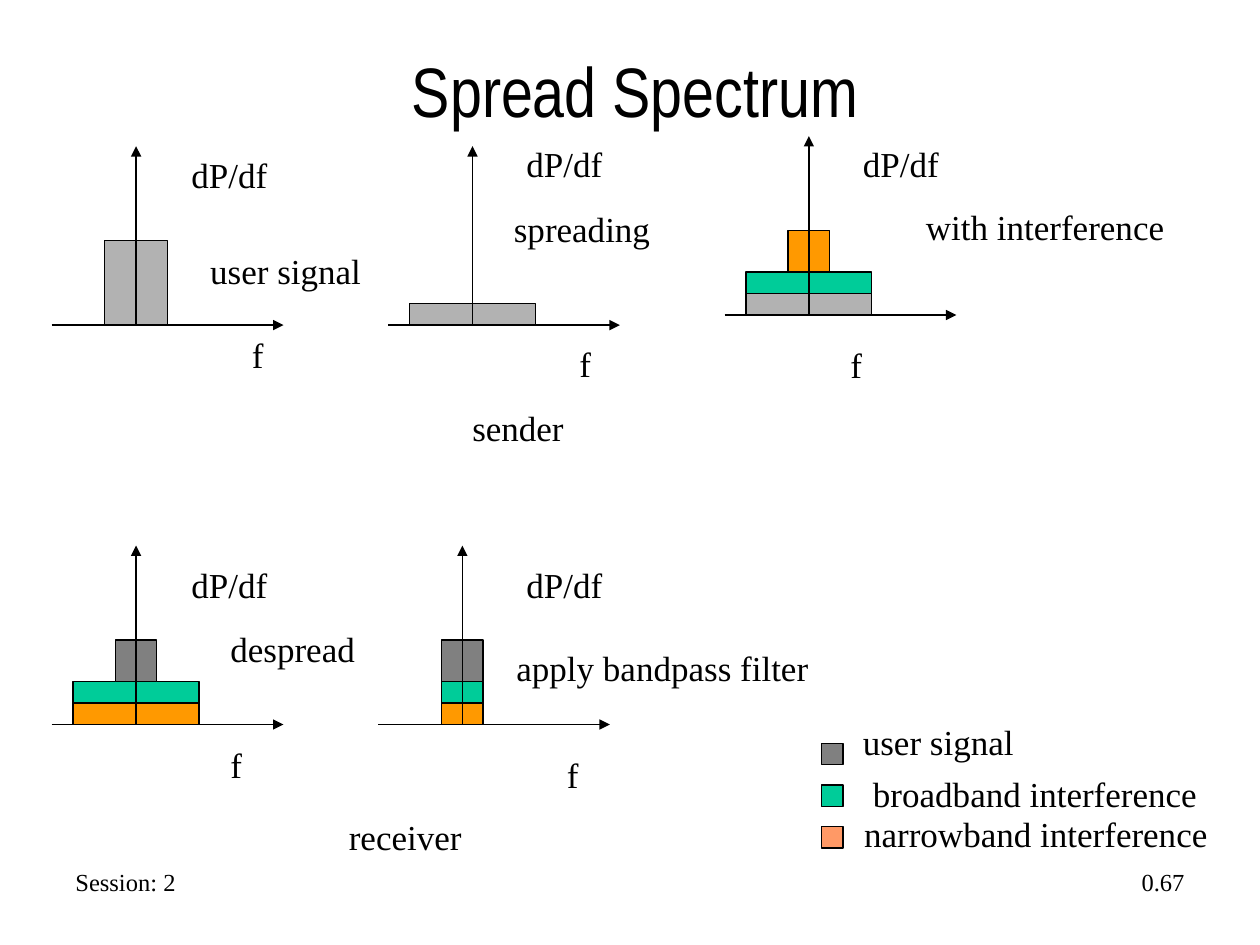
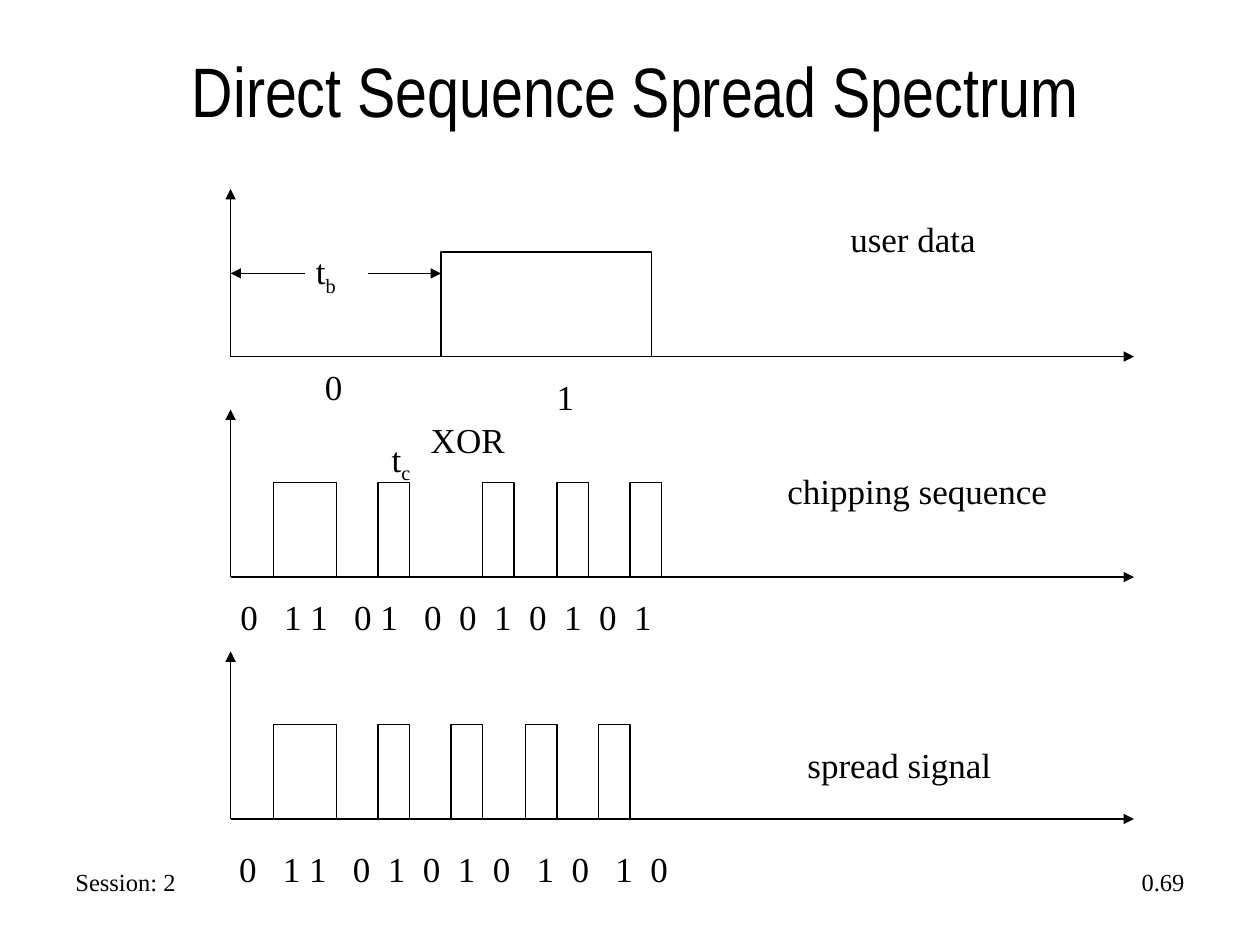
from dataclasses import dataclass
from itertools import accumulate
from typing import Optional

import lxml.etree
import pptx
import pptx.dml.color
import pptx.enum.shapes
import pptx.enum.text
import pptx.oxml.ns
import pptx.util

Inches, Pt = pptx.util.Inches, pptx.util.Pt
RGBColor = pptx.dml.color.RGBColor
Align = pptx.enum.text.PP_ALIGN
AutoSize = pptx.enum.text.MSO_AUTO_SIZE
qn = pptx.oxml.ns.qn

# Shared style
BLACK = RGBColor(0x00, 0x00, 0x00)
LIGHT_GRAY = RGBColor(0xB2, 0xB2, 0xB2)
GRAY = RGBColor(0x80, 0x80, 0x80)
GREEN = RGBColor(0x00, 0xCC, 0x99)
ORANGE = RGBColor(0xFF, 0x99, 0x00)
SALMON = RGBColor(0xFF, 0x99, 0x66)
TITLE_FONT, BODY_FONT = "Arial Narrow", "Times New Roman"
LINE_WIDTH = Pt(0.75)
LABEL_HEIGHT = 0.44
DIGIT_WIDTH, SPACE_WIDTH = Pt(10), Pt(5)


@dataclass
class Label:
    text: str
    x: float
    y: float
    width: float
    subscript: str = ""


@dataclass
class Bar:
    width: float
    height: float
    color: RGBColor


@dataclass
class Spectrum:
    center: float
    base: float
    bars: list[Bar]  # stacked upwards from the frequency axis
    labels: list[Label]


@dataclass
class Bits:
    text: str
    gaps: list[int]  # spaces between neighbouring digits
    x: float
    y: float


@dataclass
class Signal:
    base: float
    pulse_height: float
    pulses: list[tuple[float, float]]  # left edge and width
    label: Label
    bits: Optional[Bits] = None


# Drawing helpers
def style_run(r, size: float, font: str = BODY_FONT) -> None:
    for name, value in {"size": Pt(size), "name": font, "bold": False}.items():
        setattr(r.font, name, value)
    r.font.color.rgb = BLACK


def add_text(s, text: str, x: float, y: float, w: float, h: float,
             size: float = 20, align=Align.LEFT, wrap: bool = False):
    tf = s.shapes.add_textbox(Inches(x), Inches(y), Inches(w), Inches(h)).text_frame
    tf.word_wrap = wrap
    tf.auto_size = AutoSize.SHAPE_TO_FIT_TEXT
    p = tf.paragraphs[0]
    p.alignment = align
    r = p.add_run()
    r.text = text
    style_run(r, size)
    return p


def add_label(s, label: Label) -> None:
    height = 0.48 if label.subscript else LABEL_HEIGHT
    p = add_text(s, label.text, label.x, label.y, label.width, height)
    if label.subscript:
        r = p.add_run()
        r.text = label.subscript
        style_run(r, 20)
        r.font._element.set("baseline", "-25000")


def add_rect(s, x: float, y: float, w: float, h: float,
             color: Optional[RGBColor] = None) -> None:
    sp = s.shapes.add_shape(pptx.enum.shapes.MSO_SHAPE.RECTANGLE,
                            Inches(x), Inches(y), Inches(w), Inches(h))
    sp.shadow.inherit = False
    if color is None:
        sp.fill.background()
    else:
        sp.fill.solid()
        sp.fill.fore_color.rgb = color
    sp.line.color.rgb = BLACK
    sp.line.width = LINE_WIDTH


def add_arrow(s, x1: float, y1: float, x2: float, y2: float) -> None:
    line = s.shapes.add_connector(pptx.enum.shapes.MSO_CONNECTOR.STRAIGHT,
                                  Inches(x1), Inches(y1), Inches(x2), Inches(y2))
    line.line.color.rgb = BLACK
    line.line.width = LINE_WIDTH
    sp_pr = line._element.spPr
    lxml.etree.SubElement(sp_pr.find(qn("a:ln")), qn("a:tailEnd"), type="triangle")
    lxml.etree.SubElement(sp_pr, qn("a:effectLst"))


def add_bits(s, bits: Bits) -> None:
    """Space the digits with one tab stop per gap."""
    p = add_text(s, "\t".join(bits.text), bits.x, bits.y, 3.8, LABEL_HEIGHT, wrap=True)
    tabs = lxml.etree.SubElement(p._p.get_or_add_pPr(), qn("a:tabLst"))
    for stop in accumulate(DIGIT_WIDTH + gap * SPACE_WIDTH for gap in bits.gaps):
        lxml.etree.SubElement(tabs, qn("a:tab"), pos=str(stop), algn="l")


def add_spectrum(s, spectrum: Spectrum) -> None:
    cx, base = spectrum.center, spectrum.base
    top = base
    for bar in spectrum.bars:
        top -= bar.height
        add_rect(s, cx - bar.width / 2, top, bar.width, bar.height, bar.color)
    add_arrow(s, cx - 0.67, base, cx + 1.17, base)
    add_arrow(s, cx, base, cx, base - 1.42)
    for label in spectrum.labels:
        add_label(s, label)


def add_signal(s, signal: Signal) -> None:
    add_arrow(s, 1.83, signal.base, 9, signal.base)
    add_arrow(s, 1.83, signal.base, 1.83, signal.base - 1.33)
    for x, width in signal.pulses:
        add_rect(s, x, signal.base - signal.pulse_height, width, signal.pulse_height)
    add_label(s, signal.label)
    if signal.bits:
        add_bits(s, signal.bits)


def new_slide(prs, title: str, number: str):
    s = prs.slides.add_slide(prs.slide_layouts[5])
    sp = s.shapes.title
    box = {"left": 0.5, "top": 0.25, "width": 9.08, "height": 0.92}
    for name, value in box.items():
        setattr(sp, name, Inches(value))
    tf = sp.text_frame
    tf.vertical_anchor = pptx.enum.text.MSO_ANCHOR.MIDDLE
    tf.auto_size = AutoSize.NONE
    p = tf.paragraphs[0]
    p.alignment = Align.CENTER
    r = p.add_run()
    r.text = title
    style_run(r, 40, TITLE_FONT)
    add_text(s, "Session: 2", 0.5, 6.83, 2.58, 0.34, 14, wrap=True)
    add_text(s, number, 7.17, 6.83, 2.33, 0.34, 14, Align.RIGHT, wrap=True)
    return s


# Spread spectrum: density plots at sender and receiver
def density(x: float, y: float) -> Label:
    return Label("dP/df", x, y, 0.8)


def frequency(x: float, y: float) -> Label:
    return Label("f", x, y, 0.29)


SPECTRA = [
    Spectrum(1.08, 2.58, [Bar(0.5, 0.67, LIGHT_GRAY)],
             [density(1.42, 1.17), frequency(1.9, 2.6),
              Label("user signal", 1.57, 1.93, 1.4)]),
    Spectrum(3.75, 2.58, [Bar(1, 0.17, LIGHT_GRAY)],
             [density(4.08, 1.08), frequency(4.5, 2.67),
              Label("spreading", 3.98, 1.6, 1.28)]),
    Spectrum(6.42, 2.5, [Bar(1, 0.17, LIGHT_GRAY), Bar(1, 0.17, GREEN),
                         Bar(0.33, 0.33, ORANGE)],
             [density(6.75, 1.08), frequency(6.65, 2.68),
              Label("with interference", 7.25, 1.58, 2.09)]),
    Spectrum(1.08, 5.75, [Bar(1, 0.17, ORANGE), Bar(1, 0.17, GREEN),
                          Bar(0.33, 0.33, GRAY)],
             [density(1.42, 4.42), frequency(1.73, 5.85),
              Label("despread", 1.73, 4.93, 1.19)]),
    Spectrum(3.67, 5.75, [Bar(0.33, 0.17, ORANGE), Bar(0.33, 0.17, GREEN),
                          Bar(0.33, 0.33, GRAY)],
             [density(4.08, 4.42), frequency(4.4, 5.93),
              Label("apply bandpass filter", 4, 5.08, 2.52)]),
]
STAGES = [Label("sender", 3.65, 3.18, 0.94), Label("receiver", 2.67, 6.42, 1.11)]
LEGEND = [
    (GRAY, Label("user signal", 6.75, 5.67, 1.4)),
    (GREEN, Label("broadband interference", 6.83, 6.08, 2.77)),
    (SALMON, Label("narrowband interference", 6.76, 6.4, 2.93)),
]

# Direct sequence: user data, chips and their combination
SIGNALS = [
    Signal(2.83, 0.83, [(3.5, 1.67)], Label("user data", 6.65, 1.68, 1.21)),
    Signal(4.58, 0.75,
           [(2.17, 0.5)] + [(x, 0.25) for x in (3, 3.83, 4.42, 5)],
           Label("chipping sequence", 6.15, 3.68, 2.28),
           Bits("011010010101", [3, 1, 3, 1, 3, 2, 2, 2, 2, 2, 2], 1.81, 4.68)),
    Signal(6.5, 0.75,
           [(2.17, 0.5)] + [(x, 0.25) for x in (3, 3.58, 4.17, 4.75)],
           Label("spread signal", 6.31, 5.85, 1.66),
           Bits("011010101010", [3, 1, 3, 2, 2, 2, 2, 3, 2, 3, 2], 1.8, 6.68)),
]
SIGNAL_NOTES = [
    Label("0", 2.48, 2.85, 0.34),
    Label("1", 4.32, 2.93, 0.34),
    Label("XOR", 3.32, 3.27, 0.79),
    Label("t", 2.41, 1.93, 0.36, "b"),
    Label("t", 3.01, 3.42, 0.35, "c"),
]


def build_spread_spectrum(prs) -> None:
    s = new_slide(prs, "Spread Spectrum", "0.67")
    for spectrum in SPECTRA:
        add_spectrum(s, spectrum)
    for label in STAGES:
        add_label(s, label)
    for row, (color, label) in enumerate(LEGEND):
        add_rect(s, 6.52, 5.9 + row * 0.33, 0.17, 0.17, color)
        add_label(s, label)


def build_direct_sequence(prs) -> None:
    s = new_slide(prs, "Direct Sequence Spread Spectrum", "0.69")
    for signal in SIGNALS:
        add_signal(s, signal)
    for label in SIGNAL_NOTES:
        add_label(s, label)
    # Bit duration
    for start, end in ((2.42, 1.83), (2.92, 3.5)):
        add_arrow(s, start, 2.17, end, 2.17)


def main() -> None:
    prs = pptx.Presentation()
    prs.slide_width, prs.slide_height = Inches(10), Inches(7.5)
    build_spread_spectrum(prs)
    build_direct_sequence(prs)
    prs.save("out.pptx")


if __name__ == "__main__":
    main()
